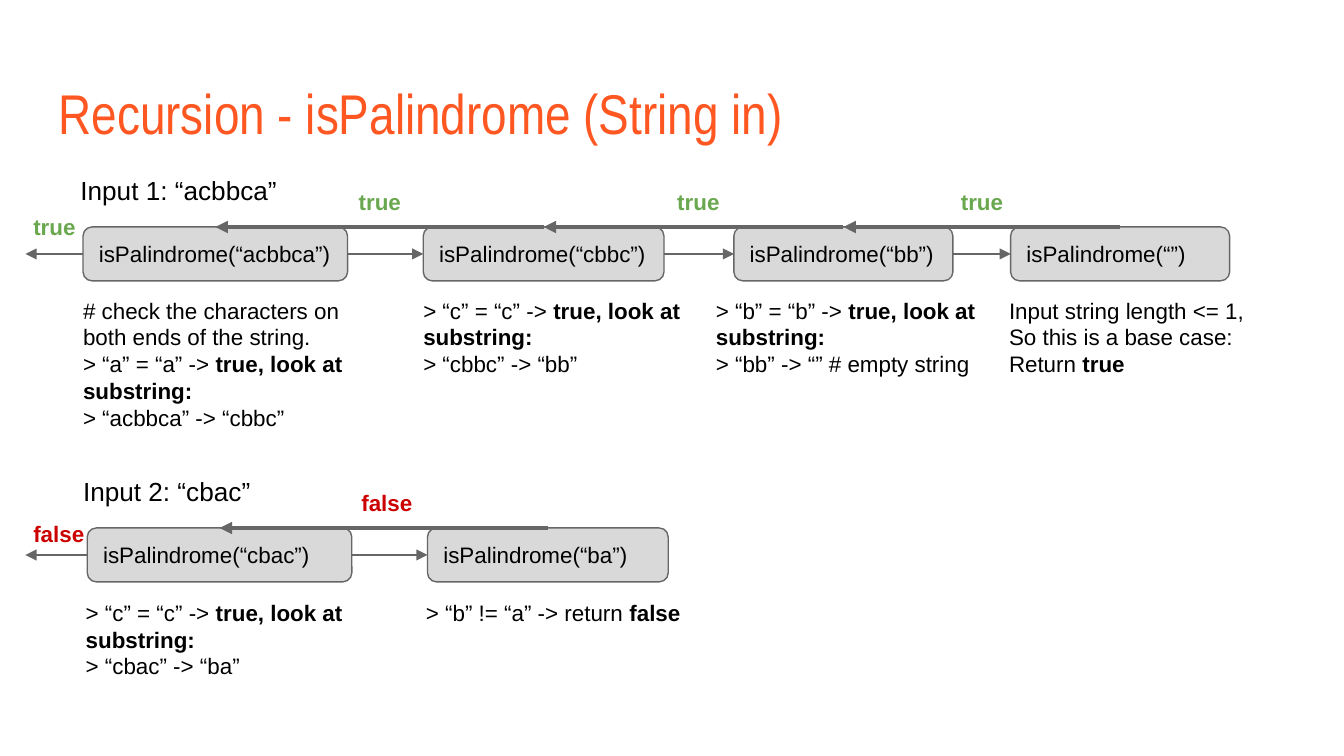
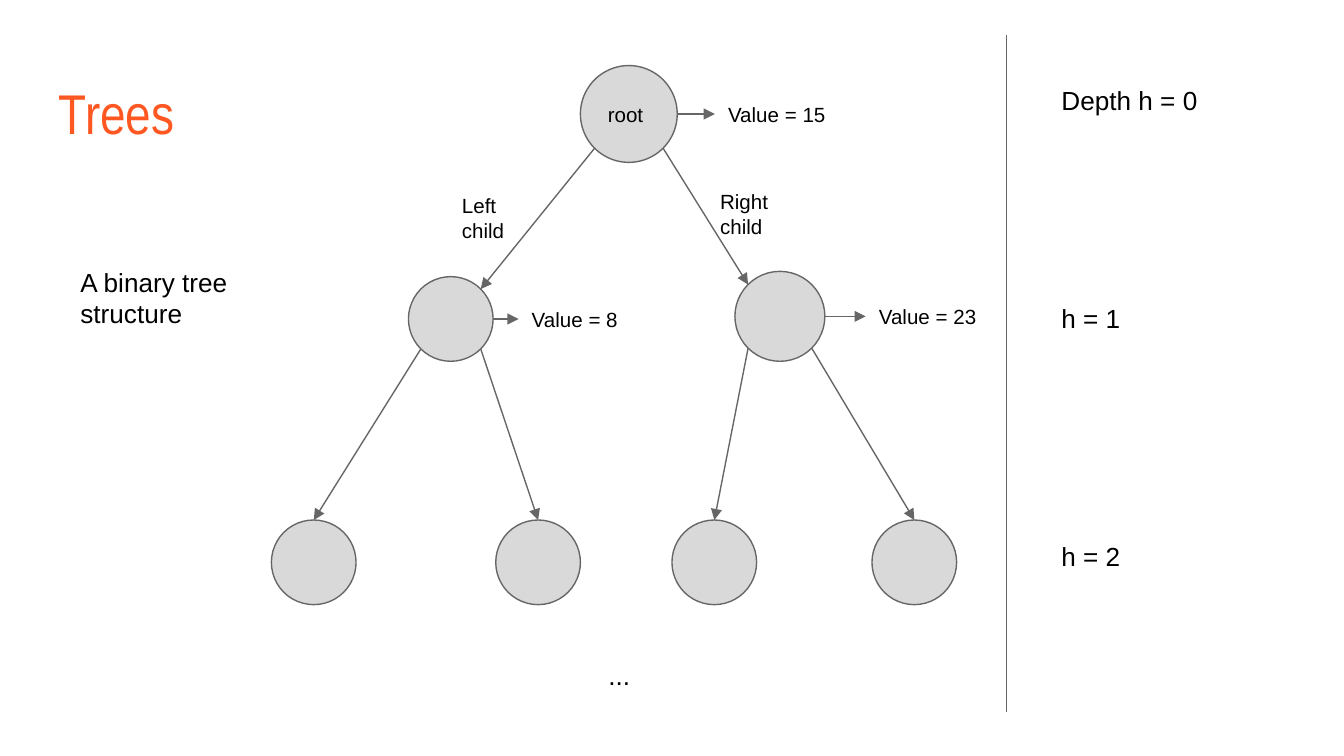
import dataclasses
import math
import typing

import pptx
import pptx.dml.color
import pptx.enum.shapes
import pptx.enum.text
import pptx.oxml
import pptx.oxml.ns
import pptx.util

Cm = pptx.util.Cm
Pt = pptx.util.Pt
Shape = pptx.enum.shapes.MSO_SHAPE
Anchor = pptx.enum.text.MSO_ANCHOR

ORANGE = "FF5722"
BLACK = "000000"
WHITE = "FFFFFF"
GREY = "D9D9D9"
SLATE = "666666"
GREEN = "6AA84F"
RED = "CC0000"

FRAME = {
    "word_wrap": True,
    "auto_size": pptx.enum.text.MSO_AUTO_SIZE.NONE,
    "margin_left": Cm(0.25),
    "margin_right": Cm(0.25),
    "margin_top": Cm(0.25),
    "margin_bottom": Cm(0.25),
}
TITLE_FONT = {"name": "Arial Narrow", "size": Pt(30)}
HEADING_FONT = {"name": "Arial", "size": Pt(14)}
BODY_FONT = {"name": "Arial", "size": Pt(12)}
NODE_FONT = {"name": "Arial", "size": Pt(11)}

BOX_HEIGHT = 1.02
NOTE_WIDTH = 5.54
EXIT_X = 0.48
VALUE_WIDTH = 2.49
VALUE_HEIGHT = 0.81


class Area(typing.NamedTuple):
    left: float
    top: float
    width: float
    height: float

    def place(self) -> tuple:
        return tuple(Cm(length) for length in self)


class Point(typing.NamedTuple):
    x: float
    y: float


@dataclasses.dataclass
class Call:
    argument: str
    left: float
    width: float
    note_left: float
    note_height: float
    note: list[str]
    label_left: float = 0

    @property
    def right(self) -> float:
        return self.left + self.width

    @property
    def middle(self) -> float:
        return self.left + self.width / 2


@dataclasses.dataclass
class Trace:
    heading: str
    heading_area: Area
    top: float
    result: str
    color: str
    label_width: float
    exit_label: Area
    note_gap: float
    calls: list[Call]


@dataclasses.dataclass
class Node:
    left: float
    top: float
    size: float
    text: str = ""
    value: str = ""
    value_left: float = 0
    children: tuple = ()

    def at(self, degrees: float) -> Point:
        radius = self.size / 2
        angle = math.radians(degrees)
        return Point(self.left + radius + radius * math.cos(angle),
                     self.top + radius + radius * math.sin(angle))


def rgb(color: str) -> pptx.dml.color.RGBColor:
    return pptx.dml.color.RGBColor.from_string(color)


def apply(target, values: dict) -> None:
    for name, value in values.items():
        setattr(target, name, value)


def write(box, lines: list[str], font: dict, color: str = BLACK, anchor=Anchor.TOP) -> None:
    frame = box.text_frame
    apply(frame, FRAME | {"vertical_anchor": anchor})
    for index, line in enumerate(lines):
        para = frame.paragraphs[0] if index == 0 else frame.add_paragraph()
        para.alignment = pptx.enum.text.PP_ALIGN.LEFT
        for part, text in enumerate(line.split("**")):
            if text:
                span = para.add_run()
                span.text = text
                apply(span.font, font | {"bold": part % 2 == 1})
                span.font.color.rgb = rgb(color)


def add_text(page, area: Area, lines: list[str], font: dict, color: str = BLACK) -> None:
    write(page.shapes.add_textbox(*area.place()), lines, font, color)


def add_box(page, kind, area: Area, text: str, font: dict,
            fill: str = GREY, outline: str = SLATE) -> None:
    box = page.shapes.add_shape(kind, *area.place())
    box.shadow.inherit = False
    box.fill.solid()
    box.fill.fore_color.rgb = rgb(fill)
    if outline:
        box.line.color.rgb = rgb(outline)
        box.line.width = Pt(0.75)
    else:
        box.line.fill.background()
    write(box, [text], font, anchor=Anchor.MIDDLE)


def add_line(page, start: Point, end: Point, width: float = 0.75, arrow: bool = True) -> None:
    line = page.shapes.add_connector(pptx.enum.shapes.MSO_CONNECTOR.STRAIGHT,
                                     *(Cm(length) for length in start + end))
    line.line.color.rgb = rgb(SLATE)
    line.line.width = Pt(width)
    if arrow:
        head = pptx.oxml.parse_xml(
            f'<a:tailEnd {pptx.oxml.ns.nsdecls("a")} type="triangle"/>')
        line.line._get_or_add_ln().append(head)
    line._element.spPr.append(
        pptx.oxml.parse_xml(f'<a:effectLst {pptx.oxml.ns.nsdecls("a")}/>'))


def add_page(deck, title: str, title_width: float):
    page = deck.slides.add_slide(deck.slide_layouts.get_by_name("Title Only"))
    box = page.shapes.title
    area = Area(0.86, 1.24, title_width, 1.6).place()
    apply(box, dict(zip(("left", "top", "width", "height"), area)))
    write(box, [title], TITLE_FONT, ORANGE)
    return page


def draw_trace(page, trace: Trace) -> None:
    add_text(page, trace.heading_area, [trace.heading], HEADING_FONT)
    middle = trace.top + BOX_HEIGHT / 2
    result = [f"**{trace.result}**"]
    for call in trace.calls:
        add_box(page, Shape.ROUNDED_RECTANGLE,
                Area(call.left, trace.top, call.width, BOX_HEIGHT),
                f"isPalindrome(“{call.argument}”)", BODY_FONT)
        add_text(page, Area(call.note_left, trace.top + trace.note_gap,
                            NOTE_WIDTH, call.note_height), call.note, BODY_FONT)
    for caller, callee in zip(trace.calls, trace.calls[1:]):
        add_line(page, Point(caller.right, middle), Point(callee.left, middle))
        add_line(page, Point(callee.middle, trace.top),
                 Point(caller.middle, trace.top), 2.25)
        add_text(page, Area(callee.label_left, trace.top - 0.99,
                            trace.label_width, BOX_HEIGHT),
                 result, BODY_FONT, trace.color)
    add_line(page, Point(trace.calls[0].left, middle), Point(EXIT_X, middle))
    add_text(page, trace.exit_label, result, BODY_FONT, trace.color)


def draw_node(page, node: Node) -> None:
    add_box(page, Shape.OVAL, Area(node.left, node.top, node.size, node.size),
            node.text, NODE_FONT)
    if node.value:
        start = node.at(0)
        add_box(page, Shape.RECTANGLE,
                Area(node.value_left, start.y - VALUE_HEIGHT / 2,
                     VALUE_WIDTH, VALUE_HEIGHT),
                f"Value = {node.value}", NODE_FONT, WHITE, "")
        add_line(page, start, Point(node.value_left, start.y))
    for child, leaving, entering in zip(node.children, (135, 45), (-45, -135)):
        draw_node(page, child)
        add_line(page, node.at(leaving), child.at(entering if child.children else -90))


TRACES = [
    Trace("Input 1: “acbbca”", Area(1.27, 3.05, 9.96, 1.02), 4.29, "true", GREEN,
          1.32, Area(0.38, 3.78, 1.32, 0.86), 1.07, [
              Call("acbbca", 1.57, 5, 1.32, 3,
                   ["# check the characters on both ends of the string.",
                    "> “a” = “a” -> **true, look at substring:**",
                    "> “acbbca” -> “cbbc”"]),
              Call("cbbc", 8, 4.55, 7.75, 2.08,
                   ["> “c” = “c” -> **true, look at substring:**",
                    "> “cbbc” -> “bb”"], 6.53),
              Call("bb", 13.87, 4.14, 13.28, 2.08,
                   ["> “b” = “b” -> **true, look at substring:**",
                    "> “bb” -> “” # empty string"], 12.55),
              Call("", 19.1, 4.14, 18.82, 2.08,
                   ["Input string length <= 1,", "So this is a base case:",
                    "Return **true**"], 17.91),
          ]),
    Trace("Input 2: “cbac”", Area(1.32, 8.74, 9.96, 1.02), 9.98, "false", RED,
          1.68, Area(0.38, 9.58, 1.68, 0.84), 1.09, [
              Call("cbac", 1.65, 5, 1.37, 2.08,
                   ["> “c” = “c” -> **true, look at substring:**",
                    "> “cbac” -> “ba”"]),
              Call("ba", 8.08, 4.55, 7.8, 1.27,
                   ["> “b” != “a” -> return** false**"], 6.58),
          ]),
]

LEAVES = [Node(left, 9.83, 1.6) for left in (5.13, 9.37, 12.7, 16.48)]
ROOT = Node(10.97, 1.24, 1.83, "root", "15", 13.51, (
    Node(7.72, 5.23, 1.6, "", "8", 9.8, tuple(LEAVES[:2])),
    Node(13.89, 5.13, 1.7, "", "23", 16.36, tuple(LEAVES[2:])),
))
TREE_LABELS = [
    (Area(8.48, 3.4, 1.52, 1.19), ["Left child"], NODE_FONT),
    (Area(13.36, 3.33, 1.52, 0.99), ["Right", "child"], NODE_FONT),
    (Area(11.25, 12.22, 1.83, 1.19), ["..."], HEADING_FONT),
    (Area(1.27, 4.78, 3.61, 1.83), ["A binary tree structure"], HEADING_FONT),
]
DEPTHS = {"Depth h = 0": 1.35, "h = 1": 5.46, "h = 2": 9.96}


def main() -> None:
    deck = pptx.Presentation()
    apply(deck, {"slide_width": Cm(25.4), "slide_height": Cm(14.29)})

    page = add_page(deck, "Recursion - isPalindrome (String in)", 23.67)
    for trace in TRACES:
        draw_trace(page, trace)

    page = add_page(deck, "Trees", 4.27)
    draw_node(page, ROOT)
    for area, lines, font in TREE_LABELS:
        add_text(page, area, lines, font)
    for text, top in DEPTHS.items():
        add_text(page, Area(19.81, top, 4.34, 1.37), [text], HEADING_FONT)
    add_line(page, Point(19.02, 0.66), Point(19.02, 13.46), arrow=False)

    deck.save("out.pptx")


if __name__ == "__main__":
    main()
